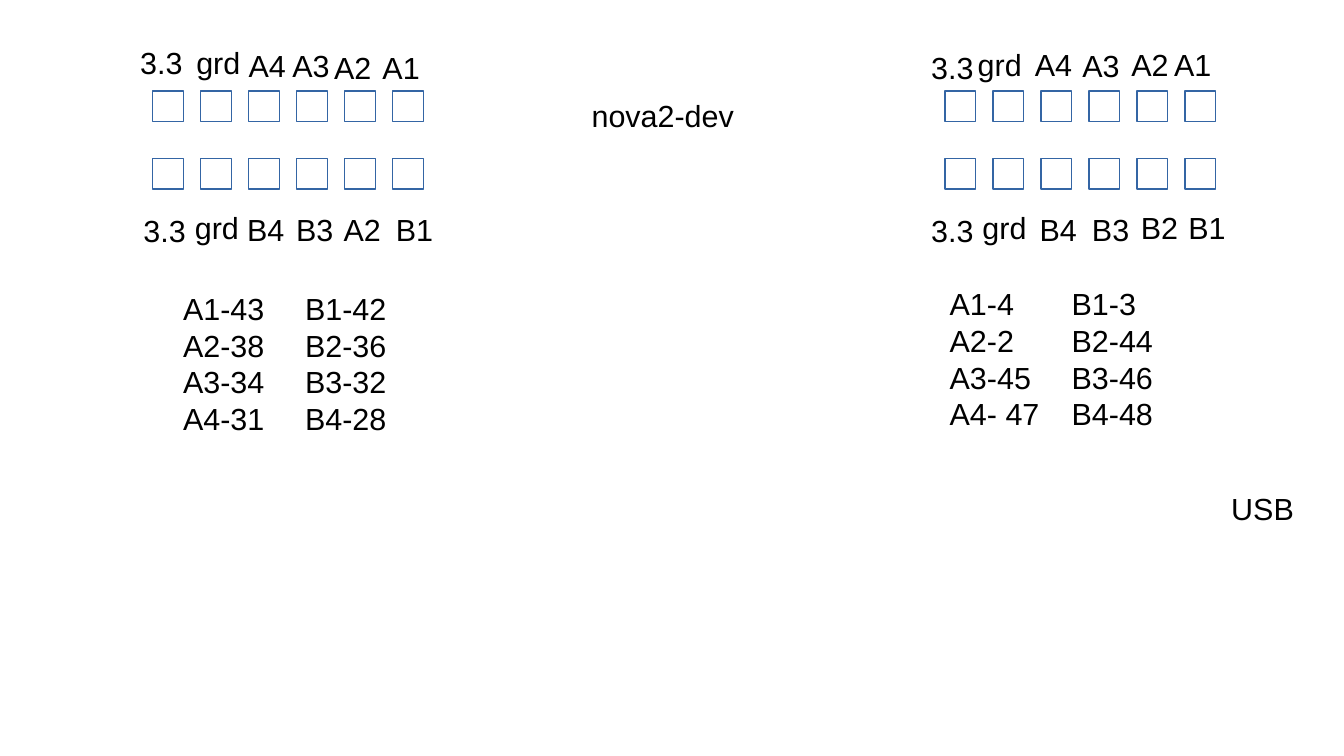
import pptx
import pptx.util
import pptx.dml.color
import pptx.enum.shapes
import pptx.enum.text
import lxml.etree

deck = pptx.Presentation()
deck.slide_width = pptx.util.Inches(11.02)
deck.slide_height = pptx.util.Inches(6.2)
unit = deck.slide_width / 28  # one square grid cell, the pitch of the pins
slide = deck.slides.add_slide(deck.slide_layouts[3])


def colour(code):
    """Turn a hex string into a colour."""
    return pptx.dml.color.RGBColor.from_string(code)


def write(holder, at, lines, wrap):
    """Place a text holder on the grid and fill it with formatted lines."""
    for side, cells in zip(("left", "top", "width", "height"), at):
        setattr(holder, side, round(cells * unit))
    frame = holder.text_frame
    frame.text = "\n".join(lines)
    frame_format = {
        "word_wrap": wrap,
        "auto_size": pptx.enum.text.MSO_AUTO_SIZE.NONE,
        "vertical_anchor": pptx.enum.text.MSO_ANCHOR.TOP,
    }
    for key, value in frame_format.items():
        setattr(frame, key, value)
    line_format = {"alignment": pptx.enum.text.PP_ALIGN.LEFT, "space_before": pptx.util.Pt(0)}
    font_format = {"name": "Arial", "size": pptx.util.Pt(18)}
    for line in frame.paragraphs:
        for key, value in line_format.items():
            setattr(line, key, value)
        for key, value in font_format.items():
            setattr(line.font, key, value)
        line.font.color.rgb = colour("000000")


# Pin sockets: two headers, each two rows of six
for header_left in (3.18, 19.69):
    for row_top in (1.9, 3.3):
        for pin in range(6):
            socket = slide.shapes.add_shape(
                pptx.enum.shapes.MSO_SHAPE.RECTANGLE,
                *(round(cells * unit) for cells in (header_left + pin, row_top, 0.64, 0.64)))
            socket.shadow.inherit = False
            socket.fill.solid()
            socket.fill.fore_color.rgb = colour("FFFFFF")
            socket.line.color.rgb = colour("3465A4")
            socket.line.width = 0

# Pin labels: name, left and top in grid cells
pin_labels = [
    ("3.3", 2.67, 0.79), ("grd", 3.84, 0.79), ("A4", 4.93, 0.86),
    ("A3", 5.84, 0.86), ("A2", 6.71, 0.89), ("A1", 7.72, 0.89),
    ("3.3", 2.74, 4.29), ("grd", 3.81, 4.24), ("B4", 4.9, 4.27),
    ("B3", 5.92, 4.27), ("A2", 6.91, 4.27), ("B1", 8, 4.27),
    ("3.3", 19.15, 0.89), ("grd", 20.12, 0.84), ("A4", 21.31, 0.84),
    ("A3", 22.3, 0.86), ("A2", 23.32, 0.84), ("A1", 24.21, 0.84),
    ("3.3", 19.15, 4.29), ("grd", 20.22, 4.24), ("B4", 21.41, 4.27),
    ("B3", 22.5, 4.27), ("B2", 23.52, 4.24), ("B1", 24.51, 4.24),
    ("USB", 25.4, 10.08),
]
label_widths = {"3.3": 1.38, "grd": 1.42, "USB": 1.8}
for name, left, top in pin_labels:
    label = slide.shapes.add_textbox(0, 0, 0, 0)
    write(label, (left, top, label_widths.get(name, 1.27), 0.97), [name], False)

board_name, *pin_lists = slide.placeholders
write(board_name, (12.07, 1.9, 4.45, 1.68), ["nova2-dev"], False)

# Pin assignments: left, top, tab stop and lines for each header
assignments = [
    (3.56, 5.92, 3.28, ["A1-43\tB1-42", "A2-38\tB2-36", "A3-34\tB3-32", "A4-31\tB4-28"]),
    (19.53, 5.82, 2.74, ["A1-4\tB1-3", "A2-2\tB2-44", "A3-45\tB3-46", "A4- 47\tB4-48"]),
]
namespace = "{http://schemas.openxmlformats.org/drawingml/2006/main}"
for pin_list, (left, top, tab_stop, lines) in zip(pin_lists, assignments):
    write(pin_list, (left, top, 6.22, 3.73), lines, True)
    for line in pin_list.text_frame.paragraphs:
        properties = line._p.get_or_add_pPr()
        properties.set("marL", "0")
        properties.set("indent", "0")
        lxml.etree.SubElement(properties, namespace + "buNone")
        tabs = lxml.etree.SubElement(properties, namespace + "tabLst")
        lxml.etree.SubElement(tabs, namespace + "tab", pos=str(round(tab_stop * unit)), algn="l")
        # the schema wants the default run format after bullets and tabs
        for run_format in properties.findall(namespace + "defRPr"):
            properties.append(run_format)
    
# Pin the character format to the runs themselves
for holder in slide.shapes:
    for line in holder.text_frame.paragraphs:
        for run in line.runs:
            for key, value in {"name": "Arial", "size": pptx.util.Pt(18)}.items():
                setattr(run.font, key, value)
            run.font.color.rgb = colour("000000")

for holder in list(slide.placeholders):
    if not holder.text_frame.text:
        holder.element.getparent().remove(holder.element)

deck.save("out.pptx")
